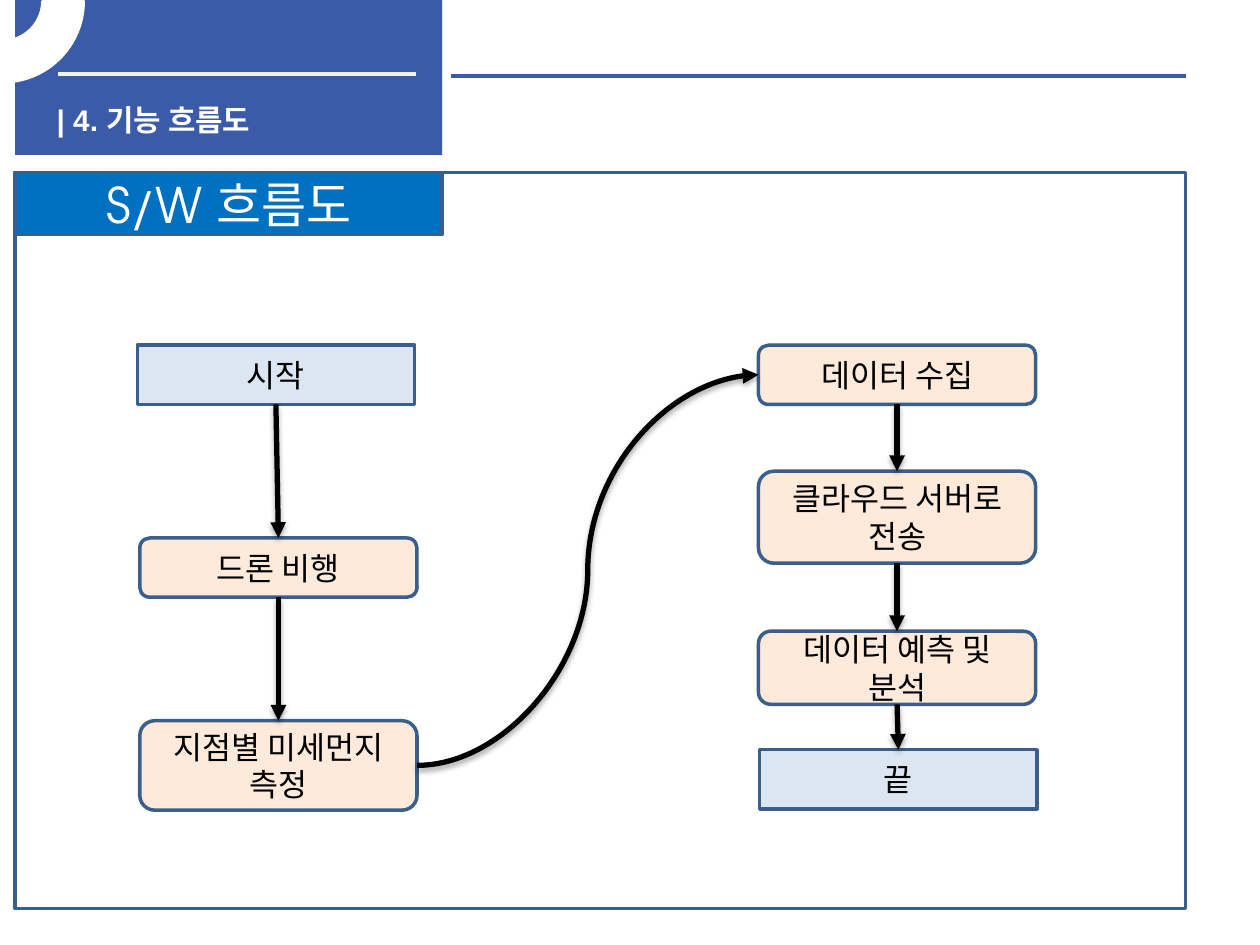
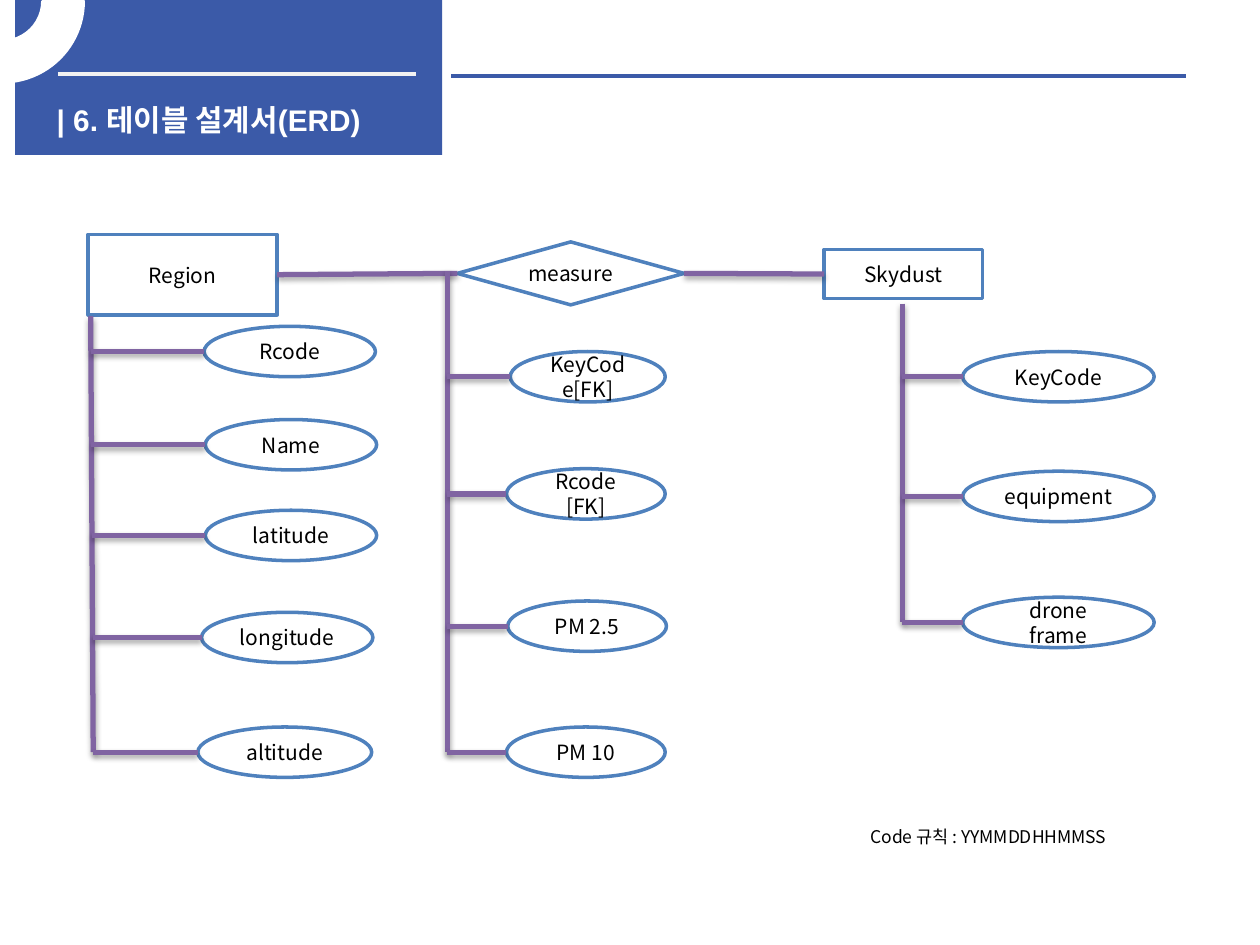
from collections import namedtuple

from lxml.etree import SubElement
from pptx import Presentation
from pptx.dml.color import RGBColor
from pptx.enum.shapes import MSO_CONNECTOR as Link, MSO_SHAPE as Shape
from pptx.enum.text import MSO_ANCHOR as Anchor, MSO_AUTO_SIZE as AutoSize, PP_ALIGN as Align
from pptx.oxml.ns import qn
from pptx.util import Inches, Pt

COLORS = {
    "band": "3B5AA8", "rule": "F2F2F2", "white": "FFFFFF", "black": "000000",
    "outline": "3A5F8C", "label": "0070C0", "terminal": "DCE6F2", "step": "FDEADA",
    "entity": "4F81BD", "relation": "8064A2",
}
BODY_FONT = "Noto Sans CJK KR"
TOP, LEFT, BOTTOM, RIGHT = range(4)
ATTRIBUTE_HEIGHT = 0.4

Box = namedtuple("Box", "left top width height")


def inside(box, left, top, width, height):
    return Box(box.left + left, box.top + top, width, height)


def rgb(color):
    return RGBColor.from_string(COLORS[color])


def style_text(frame, size, color="black", font=BODY_FONT, bold=False, align=Align.CENTER):
    for paragraph in frame.paragraphs:
        paragraph.alignment = align
        paragraph.font.size = Pt(size)
        paragraph.font.bold = bold
        paragraph.font.color.rgb = rgb(color)
        paragraph.font.name = font
        defaults = paragraph._p.pPr.find(qn("a:defRPr"))
        SubElement(defaults, qn("a:ea"), typeface=BODY_FONT)


def add_node(slide, kind, box, fill, line=None, text="", size=12, **style):
    node = slide.shapes.add_shape(kind, *map(Inches, box))
    node.shadow.inherit = False
    node.fill.solid()
    node.fill.fore_color.rgb = rgb(fill)
    if line:
        node.line.color.rgb = rgb(line)
        node.line.width = Pt(2)
    else:
        node.line.fill.background()
    if text:
        node.text_frame.text = text
        node.text_frame.vertical_anchor = Anchor.MIDDLE
        style_text(node.text_frame, size, **style)
    return node


def add_link(slide, color, start=(0, 0), end=(0, 0), width=3, kind=Link.STRAIGHT,
             shadow=True, arrow=False):
    link = slide.shapes.add_connector(kind, *map(Inches, (*start, *end)))
    link.line.color.rgb = rgb(color)
    link.line.width = Pt(width)
    if arrow:
        SubElement(link.line._get_or_add_ln(), qn("a:tailEnd"), type="triangle")
    effects = SubElement(link._element.spPr, qn("a:effectLst"))
    if shadow:
        outer = SubElement(effects, qn("a:outerShdw"), blurRad="40000", dist="23000",
                           dir="5400000", rotWithShape="0")
        shade = SubElement(outer, qn("a:srgbClr"), val=COLORS["black"])
        SubElement(shade, qn("a:alpha"), val="35000")
    return link


def join(slide, source, source_site, target, target_site, color, **options):
    link = add_link(slide, color, **options)
    link.begin_connect(source, source_site)
    link.end_connect(target, target_site)


def add_header(slide, box, heading):
    add_node(slide, Shape.RECTANGLE, box, "band")
    for color, start, end, drop in (("rule", 0.34, 3.18, 0.59), ("band", 3.46, 9.29, 0.6)):
        y = box.top + drop
        add_link(slide, color, (box.left + start, y), (box.left + end, y), 2.25, shadow=False)
    title = slide.shapes.title
    title.left, title.top, title.width, title.height = map(
        Inches, inside(box, 0.23, 0.76, 3.15, 0.32))
    title.text_frame.text = heading
    title.text_frame.auto_size = AutoSize.NONE
    title.text_frame.vertical_anchor = Anchor.TOP
    style_text(title.text_frame, 17, "white", "Arial", True, Align.LEFT)
    slide.shapes._spTree.append(title._element)
    ring = add_node(slide, Shape.BLOCK_ARC, inside(box, -0.75, -0.63, 1.29, 1.28),
                    "white", "white")
    for index, value in enumerate((0, 54, 0.25)):
        ring.adjustments[index] = value


def add_flow(slide, box):
    add_node(slide, Shape.RECTANGLE, box, "white", "outline")
    add_node(slide, Shape.RECTANGLE, inside(box, 0, 0, 3.39, 0.49), "label", "outline",
             "S/W 흐름도", 28, color="white", font="TeX Gyre Adventor")
    terminal = (Shape.RECTANGLE, "terminal")
    step = (Shape.ROUNDED_RECTANGLE, "step")
    columns = (
        (("시작", terminal, 0.97, 1.37, 0.47),
         ("드론 비행", step, 0.99, 2.9, 0.47),
         ("지점별 미세먼지 측정", step, 0.99, 4.35, 0.71)),
        (("데이터 수집", step, 5.9, 1.37, 0.47),
         ("클라우드 서버로 전송", step, 5.9, 2.37, 0.73),
         ("데이터 예측 및 분석", step, 5.9, 3.64, 0.58),
         ("끝", terminal, 5.91, 4.58, 0.47)),
    )
    chains = [
        [add_node(slide, kind, inside(box, left, top, 2.2, height), fill, "outline", text, 18)
         for text, (kind, fill), left, top, height in column]
        for column in columns
    ]
    for chain in chains:
        for source, target in zip(chain, chain[1:]):
            join(slide, source, BOTTOM, target, TOP, "black", arrow=True)
    collecting, processing = chains
    join(slide, collecting[-1], RIGHT, processing[0], LEFT, "black",
         kind=Link.CURVE, arrow=True)


def add_attributes(slide, box, trunk_start, trunk_end, attributes):
    (start_x, start_y), (end_x, end_y) = trunk_start, trunk_end
    add_link(slide, "relation", (box.left + start_x, box.top + start_y),
             (box.left + end_x, box.top + end_y))
    for text, left, top, width in attributes:
        add_node(slide, Shape.OVAL, inside(box, left, top, width, ATTRIBUTE_HEIGHT),
                 "white", "entity", text)
        middle = top + ATTRIBUTE_HEIGHT / 2
        trunk_x = start_x + (end_x - start_x) * (middle - start_y) / (end_y - start_y)
        y = box.top + middle
        add_link(slide, "relation", (box.left + left, y), (box.left + trunk_x, y))


def add_erd(slide, box):
    region, measure, skydust = (
        add_node(slide, kind, inside(box, *place), "white", "entity", text)
        for text, kind, place in (
            ("Region", Shape.RECTANGLE, (0, 0, 1.5, 0.64)),
            ("measure", Shape.FLOWCHART_DECISION, (2.93, 0.06, 1.8, 0.5)),
            ("Skydust", Shape.RECTANGLE, (5.84, 0.12, 1.26, 0.39)),
        ))
    join(slide, region, RIGHT, measure, LEFT, "relation")
    join(slide, measure, RIGHT, skydust, LEFT, "relation")
    add_attributes(slide, box, (0.02, 0.65), (0.04, 4.11), (
        ("Rcode", 0.92, 0.73, 1.36),
        ("Name", 0.93, 1.47, 1.36),
        ("latitude", 0.93, 2.19, 1.36),
        ("longitude", 0.9, 3, 1.36),
        ("altitude", 0.87, 3.91, 1.38)))
    add_attributes(slide, box, (2.85, 0.29), (2.85, 4.11), (
        ("KeyCode[FK]", 3.35, 0.93, 1.23),
        ("Rcode\n[FK]", 3.32, 1.86, 1.26),
        ("PM 2.5", 3.33, 2.91, 1.26),
        ("PM 10", 3.32, 3.91, 1.26)))
    add_attributes(slide, box, (6.46, 0.55), (6.46, 3.08), (
        ("KeyCode", 6.94, 0.93, 1.52),
        ("equipment", 6.94, 1.88, 1.52),
        ("drone frame", 6.94, 2.88, 1.52)))
    code_rule = slide.shapes.add_textbox(*map(Inches, inside(box, 6.11, 4.65, 2.28, 0.27)))
    code_rule.text_frame.text = "Code 규칙 : YYMMDDHHMMSS"
    code_rule.text_frame.word_wrap = True
    code_rule.text_frame.auto_size = AutoSize.SHAPE_TO_FIT_TEXT
    style_text(code_rule.text_frame, 10, align=Align.LEFT)


def main():
    deck = Presentation()
    deck.slide_width, deck.slide_height = Inches(10), Inches(7.5)
    header = Box(0.12, 0, 3.39, 1.23)
    for heading, add_content, box in (
        ("| 4. 기능 흐름도", add_flow, Box(0.12, 1.37, 9.29, 5.84)),
        ("| 6. 테이블 설계서(ERD)", add_erd, Box(0.7, 1.86, 8.46, 4.92)),
    ):
        slide = deck.slides.add_slide(deck.slide_layouts.get_by_name("Title Only"))
        add_header(slide, header, heading)
        add_content(slide, box)
    deck.save("out.pptx")


if __name__ == "__main__":
    main()
